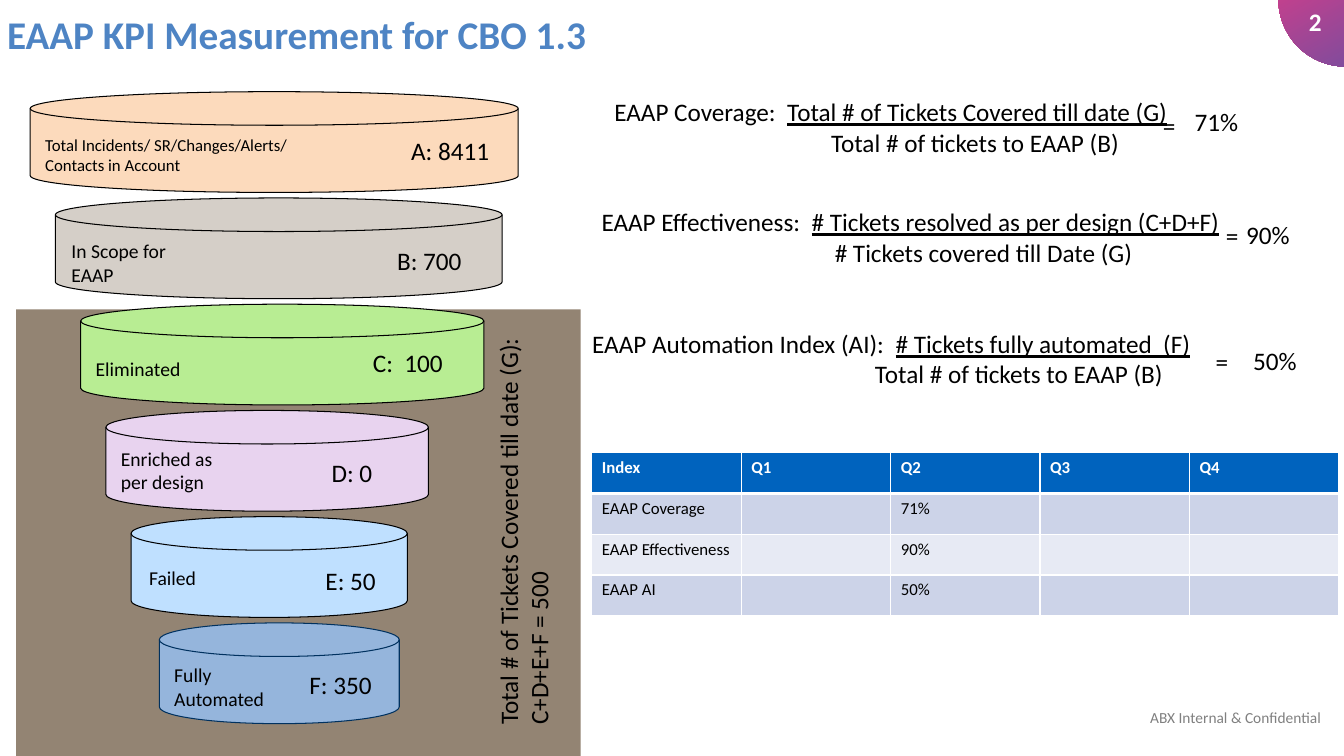
import pptx
import pptx.util
import pptx.dml.color
import pptx.enum.shapes
import pptx.enum.text
import pptx.oxml

Inches = pptx.util.Inches
RGB = pptx.dml.color.RGBColor
SHAPE = pptx.enum.shapes.MSO_SHAPE
ALIGN = pptx.enum.text.PP_ALIGN
MIDDLE = pptx.enum.text.MSO_ANCHOR.MIDDLE

BLACK = RGB(0, 0, 0)
WHITE = RGB(0xFF, 0xFF, 0xFF)
GRAY = RGB(0x80, 0x80, 0x80)
NAVY = RGB(0x00, 0x31, 0x5F)
TITLE = RGB(0x4E, 0x84, 0xC4)
BROWN = RGB(0x93, 0x84, 0x73)
PEACH = RGB(0xFC, 0xDA, 0xBC)
STONE = RGB(0xD5, 0xCF, 0xC8)
GREEN = RGB(0xB8, 0xED, 0x93)
LILAC = RGB(0xE8, 0xD3, 0xEF)
SKY = RGB(0xBF, 0xE0, 0xFF)
BLUE = RGB(0x95, 0xB5, 0xDC)
PINK = RGB(0xE9, 0x3A, 0x85)
PURPLE = RGB(0x6A, 0x4F, 0xA1)
HEAD = RGB(0x00, 0x63, 0xBE)
BANDS = (RGB(0xCC, 0xD3, 0xE8), RGB(0xE7, 0xEA, 0xF4))


def write(par, text, size=18, color=BLACK, bold=False, under=False):
    run = par.add_run()
    run.text = text
    font = run.font
    font.name, font.size = "Calibri", pptx.util.Pt(size)
    font.color.rgb, font.bold, font.underline = color, bold, under


def put(slide, box, *lines, align=ALIGN.LEFT, anchor=None, turn=None, **style):
    frame = slide.shapes.add_textbox(*map(Inches, box)).text_frame
    frame.word_wrap = True
    if anchor is not None:
        frame.vertical_anchor = anchor
    if turn:
        frame._txBody.bodyPr.set("vert", turn)
    for i, line in enumerate(lines):
        par = frame.add_paragraph() if i else frame.paragraphs[0]
        par.alignment = align
        write(par, line, **style)
    return frame


def draw(slide, kind, box, fill=None, line=None):
    shape = slide.shapes.add_shape(kind, *map(Inches, box))
    shape.shadow.inherit = False
    if fill is not None:
        shape.fill.solid()
        shape.fill.fore_color.rgb = fill
    if line is None:
        shape.line.fill.background()
    else:
        shape.line.color.rgb = line
        shape.line.width = pptx.util.Pt(0.75)
    return shape


def add_frame(slide, wide, high):
    # Corner badge with the page number
    badge = draw(slide, SHAPE.PIE, (wide - 0.65, -0.67, 1.33, 1.33))
    badge.adjustments[0], badge.adjustments[1] = 53.93, 108.17
    badge.fill.gradient()
    badge.fill.gradient_angle = 300
    for stop, color in zip(badge.fill.gradient_stops, (PINK, PURPLE)):
        stop.color.rgb = color
    put(slide, (wide - 0.73, 0.02, 0.89, 0.39), "2", align=ALIGN.CENTER,
        anchor=MIDDLE, color=WHITE, bold=True)
    # Title and footer
    head = put(slide, (0, 0.02, 9.72, 0.64), "EAAP KPI Measurement for CBO 1.3",
               anchor=MIDDLE, size=28, color=TITLE, bold=True)
    head.margin_left = head.margin_right = Inches(0.07)
    head.margin_top = head.margin_bottom = Inches(0.04)
    put(slide, (wide - 2.17, high - 0.52, 2.19, 0.29),
        "ABX Internal & Confidential", align=ALIGN.CENTER, size=11, color=GRAY)


def add_disk(slide, box, fill, line, value, spot, label, place, size):
    left, top, wide, high = box
    draw(slide, SHAPE.FLOWCHART_MAGNETIC_DISK, box, fill, line)
    put(slide, (left + spot[0], top + spot[1], 1.3, 0.4), value)
    put(slide, (left + place[0], top + place[1], place[2], 0.5), *label, size=size)


def add_stack(slide, left, top):
    # Covered area
    draw(slide, SHAPE.RECTANGLE, (left - 0.14, top + 2.16, 5.6, 4.43), BROWN)
    # Disks: shift, width, fill, line, value, its offset, label, its offset and width, size
    disks = (
        (0, 4.84, PEACH, BLACK, "A: 8411", (3.68, 0.38),
         ("Total Incidents/ SR/Changes/Alerts/", "Contacts in Account"),
         (0.05, 0.38, 2.79), 12),
        (0.25, 4.43, STONE, BLACK, "B: 700", (3.29, 0.42),
         ("In Scope for EAAP",), (0.06, 0.36, 1.15), 14),
        (0.5, 4, GREEN, BLACK, "C:  100", (2.8, 0.38),
         ("Eliminated",), (0.05, 0.47, 1.27), 14),
        (0.75, 3.2, LILAC, BLACK, "D: 0", (2.14, 0.42),
         ("Enriched as per design",), (0.05, 0.31, 1.31), 14),
        (1, 2.74, SKY, BLACK, "E: 50", (1.83, 0.43),
         ("Failed",), (0.08, 0.44, 1.12), 14),
        (1.28, 2.38, BLUE, NAVY, "F: 350", (1.39, 0.41),
         ("Fully Automated",), (0.05, 0.35, 1.13), 14),
    )
    for i, (shift, wide, *rest) in enumerate(disks):
        add_disk(slide, (left + shift, top + 1.054 * i, wide, 1), *rest)
    put(slide, (left + 4.54, top + 2.18, 0.81, 4.2),
        "Total # of Tickets Covered till date (G): C+D+E+F = 500", turn="vert270")


def add_ratio(slide, box, name, upper, lower, indent, equal, result, value):
    frame = put(slide, box, name + "  ", lower, align=ALIGN.CENTER)
    first, second = frame.paragraphs
    write(first, upper, under=True)
    second._p.get_or_add_pPr().set("marL", str(Inches(indent)))
    put(slide, equal, "=", align=ALIGN.CENTER)
    put(slide, result, value)


def add_ratios(slide):
    add_ratio(slide, (5.92, 0.91, 5.83, 0.71), "EAAP Coverage:",
              "Total # of Tickets Covered till date (G)",
              "Total # of tickets to EAAP (B)", 1.67,
              (11.33, 1.04, 0.53, 0.31), (11.75, 1.01, 0.92, 0.4), "71%")
    add_ratio(slide, (4.98, 2, 8.1, 0.71), "EAAP Effectiveness:",
              "# Tickets resolved as per design (C+D+F)",
              "# Tickets covered till Date (G)", 1.45,
              (11.92, 2.14, 0.6, 0.31), (12.26, 2.13, 0.98, 0.4), "90%")
    add_ratio(slide, (5.57, 3.21, 6.54, 0.71), "EAAP Automation Index (AI):",
              "# Tickets fully automated  (F)",
              "Total # of tickets to EAAP (B)", 2.53,
              (11.84, 3.39, 0.56, 0.4), (12.33, 3.38, 0.91, 0.4), "50%")


def edge(cell, side, points):
    space = "http://schemas.openxmlformats.org/drawingml/2006/main"
    cell._tc.get_or_add_tcPr().append(pptx.oxml.parse_xml(
        f'<a:{side} xmlns:a="{space}" w="{pptx.util.Pt(points)}"><a:solidFill>'
        f'<a:srgbClr val="{WHITE}"/></a:solidFill></a:{side}>'))


def add_grid(slide, box):
    rows = (
        ("Index", "Q1", "Q2", "Q3", "Q4"),
        ("EAAP Coverage", "", "71%", "", ""),
        ("EAAP Effectiveness", "", "90%", "", ""),
        ("EAAP AI", "", "50%", "", ""),
    )
    grid = slide.shapes.add_table(len(rows), len(rows[0]), *map(Inches, box)).table
    for r, row in enumerate(rows):
        top = r == 0
        for c, text in enumerate(row):
            cell = grid.cell(r, c)
            for side in ("lnL", "lnR", "lnT", "lnB"):
                thick = (top and side == "lnB") or (r == 1 and side == "lnT")
                edge(cell, side, 3 if thick else 1)
            cell.fill.solid()
            cell.fill.fore_color.rgb = HEAD if top else BANDS[(r - 1) % 2]
            if text:
                write(cell.text_frame.paragraphs[0], text, size=12,
                      color=WHITE if top else BLACK, bold=top)


def main():
    deck = pptx.Presentation()
    deck.slide_width, deck.slide_height = Inches(13.33), Inches(7.5)
    slide = deck.slides.add_slide(deck.slide_layouts[6])
    add_frame(slide, 13.33, 7.5)
    add_stack(slide, 0.3, 0.91)
    add_ratios(slide)
    add_grid(slide, (5.87, 4.49, 7.41, 1.62))
    deck.save("out.pptx")


if __name__ == "__main__":
    main()
